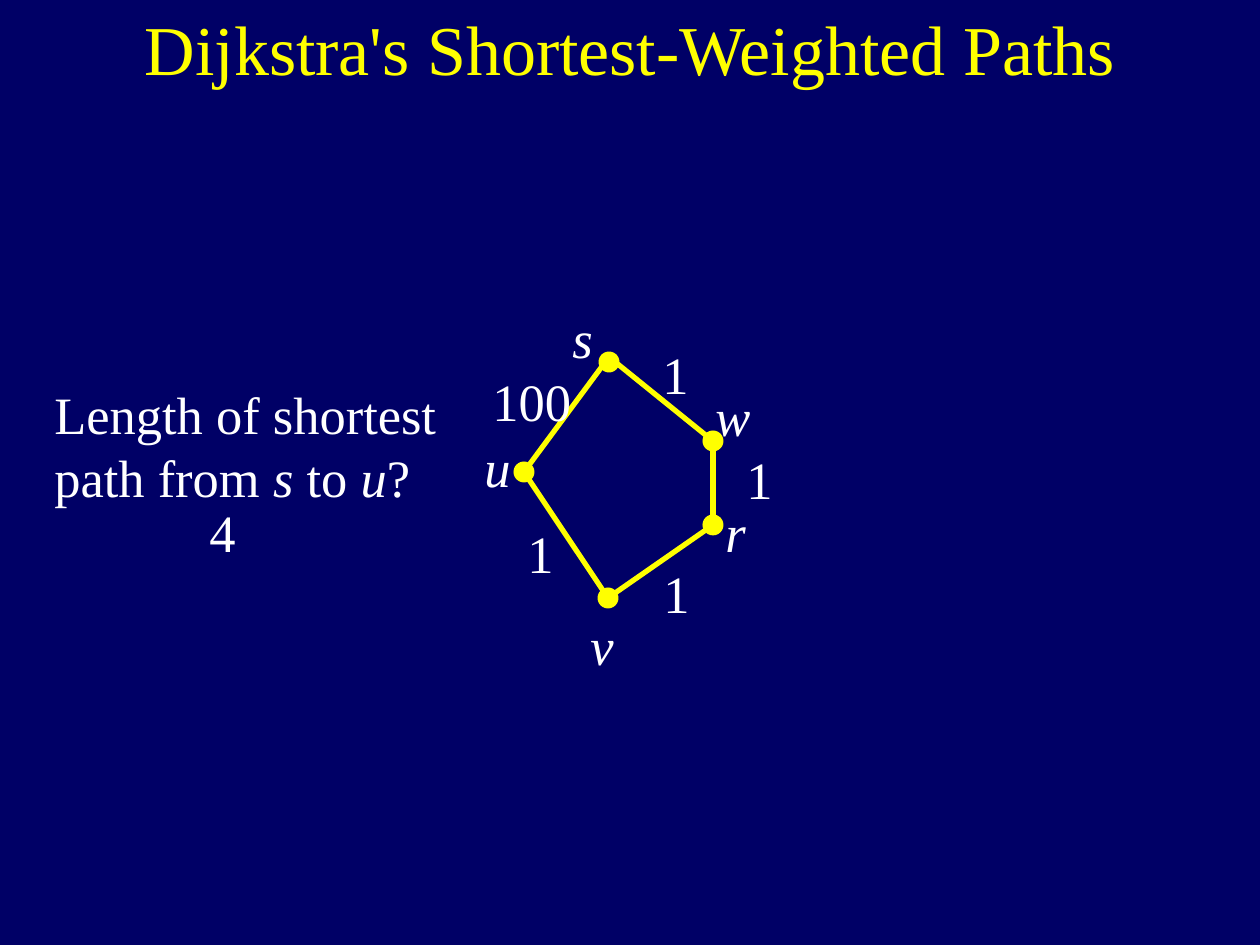
from itertools import pairwise

from lxml.etree import SubElement
from pptx import Presentation
from pptx.dml.color import RGBColor
from pptx.enum.shapes import MSO_CONNECTOR, MSO_SHAPE
from pptx.enum.text import MSO_ANCHOR, MSO_AUTO_SIZE, PP_ALIGN
from pptx.oxml.ns import qn
from pptx.util import Pt

NAVY = RGBColor(0x00, 0x00, 0x66)
YELLOW = RGBColor(0xFF, 0xFF, 0x00)
WHITE = RGBColor(0xFF, 0xFF, 0xFF)
PX = 914400 // 126

NODES = {
    "s": {"dot": (609, 362), "joint": (609, 357), "label": (560, 300, 46)},
    "w": {"dot": (713, 441), "joint": (713, 441), "label": (703, 378, 60)},
    "r": {"dot": (713, 525), "joint": (713, 525), "label": (713, 494, 46)},
    "v": {"dot": (608, 598), "joint": (608, 598), "label": (578, 607, 48)},
    "u": {"dot": (524, 472), "joint": (524, 472), "label": (472, 429, 52)},
}
WEIGHTS = [
    ("100", 480, 363, 105),
    ("1", 515, 515, 52),
    ("1", 651, 555, 52),
    ("1", 734, 441, 52),
    ("1", 650, 336, 52),
]
QUESTION = ("Length of shortest\vpath from ", "s", " to ", "u", "?")


class GraphSlide:
    """Holds the slide and the style shared by its elements."""

    font_name = "Times New Roman"
    text_size = 30
    title_size = 40
    dot_size = 21
    edge_width = 3

    def __init__(self, presentation):
        """Add a title-only slide with a plain background."""
        self.slide = presentation.slides.add_slide(presentation.slide_layouts[5])
        self.slide.background.fill.solid()
        self.slide.background.fill.fore_color.rgb = NAVY

    def format_run(self, run, size, color, italic=False):
        """Give a run its font."""
        run.font.name = self.font_name
        run.font.size = Pt(size)
        run.font.color.rgb = color
        run.font.italic = italic

    def title(self, text, left, top, width, height):
        """Place and format the title placeholder."""
        shape = self.slide.shapes.title
        shape.left, shape.top = left * PX, top * PX
        shape.width, shape.height = width * PX, height * PX
        frame = shape.text_frame
        frame.text = text
        frame.vertical_anchor = MSO_ANCHOR.MIDDLE
        frame.auto_size = MSO_AUTO_SIZE.NONE
        paragraph = frame.paragraphs[0]
        paragraph.alignment = PP_ALIGN.CENTER
        self.format_run(paragraph.runs[0], self.title_size, YELLOW)

    def text(self, pieces, left, top, width, height=76):
        """Add a text box made of pieces, with node names in italics."""
        shape = self.slide.shapes.add_textbox(
            left * PX, top * PX, width * PX, height * PX
        )
        frame = shape.text_frame
        frame.word_wrap = False
        frame.auto_size = MSO_AUTO_SIZE.SHAPE_TO_FIT_TEXT
        paragraph = frame.paragraphs[0]
        paragraph.text = pieces[0]
        for piece in pieces[1:]:
            paragraph.add_run().text = piece
        for run in paragraph.runs:
            self.format_run(run, self.text_size, WHITE, run.text in NODES)

    def dot(self, x, y):
        """Add a node centred on a point."""
        size = self.dot_size * PX
        shape = self.slide.shapes.add_shape(
            MSO_SHAPE.OVAL, x * PX - size // 2, y * PX - size // 2, size, size
        )
        shape.shadow.inherit = False
        shape.fill.solid()
        shape.fill.fore_color.rgb = YELLOW
        shape.line.fill.background()

    def edge(self, start, end):
        """Add a straight edge between two points."""
        connector = self.slide.shapes.add_connector(
            MSO_CONNECTOR.STRAIGHT, *(value * PX for value in (*start, *end))
        )
        connector.line.color.rgb = YELLOW
        connector.line.width = Pt(self.edge_width)
        SubElement(connector._element.spPr, qn("a:effectLst"))


def main():
    """Build the slide and save it."""
    presentation = Presentation()
    presentation.slide_width, presentation.slide_height = 1260 * PX, 945 * PX
    slide = GraphSlide(presentation)
    slide.title("Dijkstra's Shortest-Weighted Paths", 94, -32, 1072, 158)
    for name, node in NODES.items():
        slide.dot(*node["dot"])
        slide.text([name], *node["label"])
    joints = [node["joint"] for node in NODES.values()]
    for start, end in pairwise(joints + joints[:1]):
        slide.edge(start, end)
    for weight, *place in WEIGHTS:
        slide.text([weight], *place)
    slide.text(QUESTION, 42, 376, 422, 139)
    slide.text(["4"], 197, 494, 52)
    presentation.save("out.pptx")


if __name__ == "__main__":
    main()
